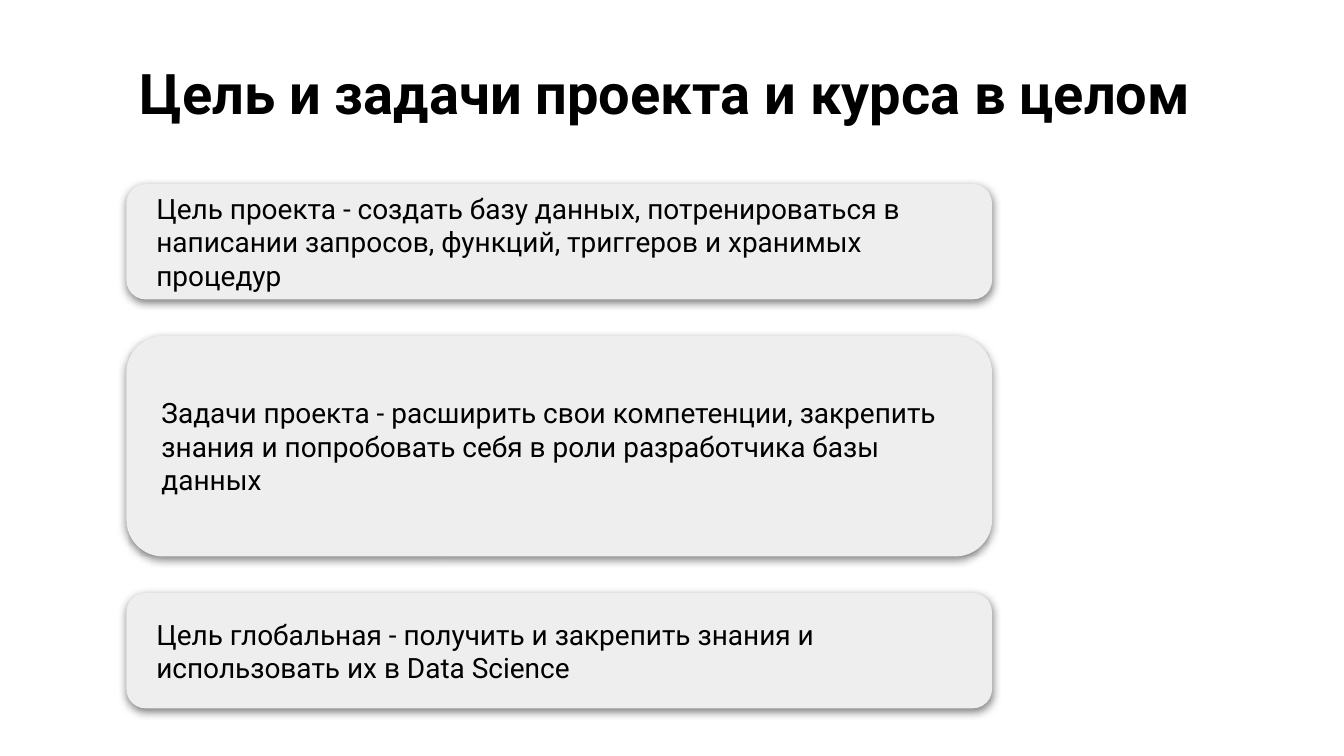
import pptx
import pptx.dml.color
import pptx.enum.shapes
import pptx.enum.text
import pptx.oxml
import pptx.oxml.ns
import pptx.util

Cm = pptx.util.Cm
Pt = pptx.util.Pt
COLORS = {"text": "000000", "card": "EEEEEE", "shadow": "000000", "page": "FFFFFF"}
FONT = "Roboto"
TITLE = "Цель и задачи проекта и курса в целом"
CARDS = [
    ("Цель проекта - создать базу данных, потренироваться в написании запросов, "
     "функций, триггеров и хранимых процедур", 2.18),
    ("Задачи проекта - расширить свои компетенции, закрепить знания и попробовать "
     "себя в роли разработчика базы данных", 4.17),
    ("Цель глобальная - получить и закрепить знания и использовать их в Data Science", 2.18),
]
CARD_GAP = 0.69


def color(name):
    """Return the named palette colour."""
    return pptx.dml.color.RGBColor.from_string(COLORS[name])


def write_text(shape, text, size, bold, anchor, side_inset):
    """Fill a shape with one left-aligned paragraph."""
    frame = shape.text_frame
    frame.text = text
    frame.word_wrap = True
    frame.auto_size = pptx.enum.text.MSO_AUTO_SIZE.NONE
    frame.vertical_anchor = anchor
    frame.margin_left = frame.margin_right = Cm(side_inset)
    frame.margin_top = frame.margin_bottom = Cm(0.25)
    para = frame.paragraphs[0]
    para.alignment = pptx.enum.text.PP_ALIGN.LEFT
    para.font.name = FONT
    para.font.size = Pt(size)
    para.font.bold = bold
    para.font.color.rgb = color("text")


def add_soft_shadow(shape):
    """Give a shape a half-transparent shadow that falls downwards."""
    shape.shadow.inherit = False
    effects = shape._element.spPr.find(pptx.oxml.ns.qn("a:effectLst"))
    effects.append(pptx.oxml.parse_xml(
        f'<a:outerShdw {pptx.oxml.ns.nsdecls("a")} blurRad="{Pt(4.5)}" dist="{Pt(1.5)}" '
        f'dir="5400000" algn="bl" rotWithShape="0"><a:srgbClr val="{COLORS["shadow"]}">'
        '<a:alpha val="50000"/></a:srgbClr></a:outerShdw>'))


def place_title(page, left, top, width, height):
    """Place the heading in the title placeholder."""
    title = page.shapes.title
    title.left, title.top, title.width, title.height = map(Cm, (left, top, width, height))
    write_text(title, TITLE, 30, True, pptx.enum.text.MSO_ANCHOR.TOP, 0.25)


def place_cards(page, left, top, width):
    """Stack the rounded cards downwards with equal gaps."""
    for text, height in CARDS:
        card = page.shapes.add_shape(
            pptx.enum.shapes.MSO_SHAPE.ROUNDED_RECTANGLE,
            Cm(left), Cm(top), Cm(width), Cm(height))
        card.fill.solid()
        card.fill.fore_color.rgb = color("card")
        card.line.fill.background()
        add_soft_shadow(card)
        write_text(card, text, 15, False, pptx.enum.text.MSO_ANCHOR.MIDDLE, 0.46)
        top += height + CARD_GAP


def main():
    """Build the slide and save the deck."""
    deck = pptx.Presentation()
    deck.slide_width, deck.slide_height = Cm(25.4), Cm(14.29)
    page = deck.slides.add_slide(deck.slide_layouts[5])
    page.background.fill.solid()
    page.background.fill.fore_color.rgb = color("page")
    place_title(page, 2.39, 0.86, 20.62, 2.08)
    place_cards(page, 2.39, 3.48, 16.36)
    deck.save("out.pptx")


if __name__ == "__main__":
    main()
